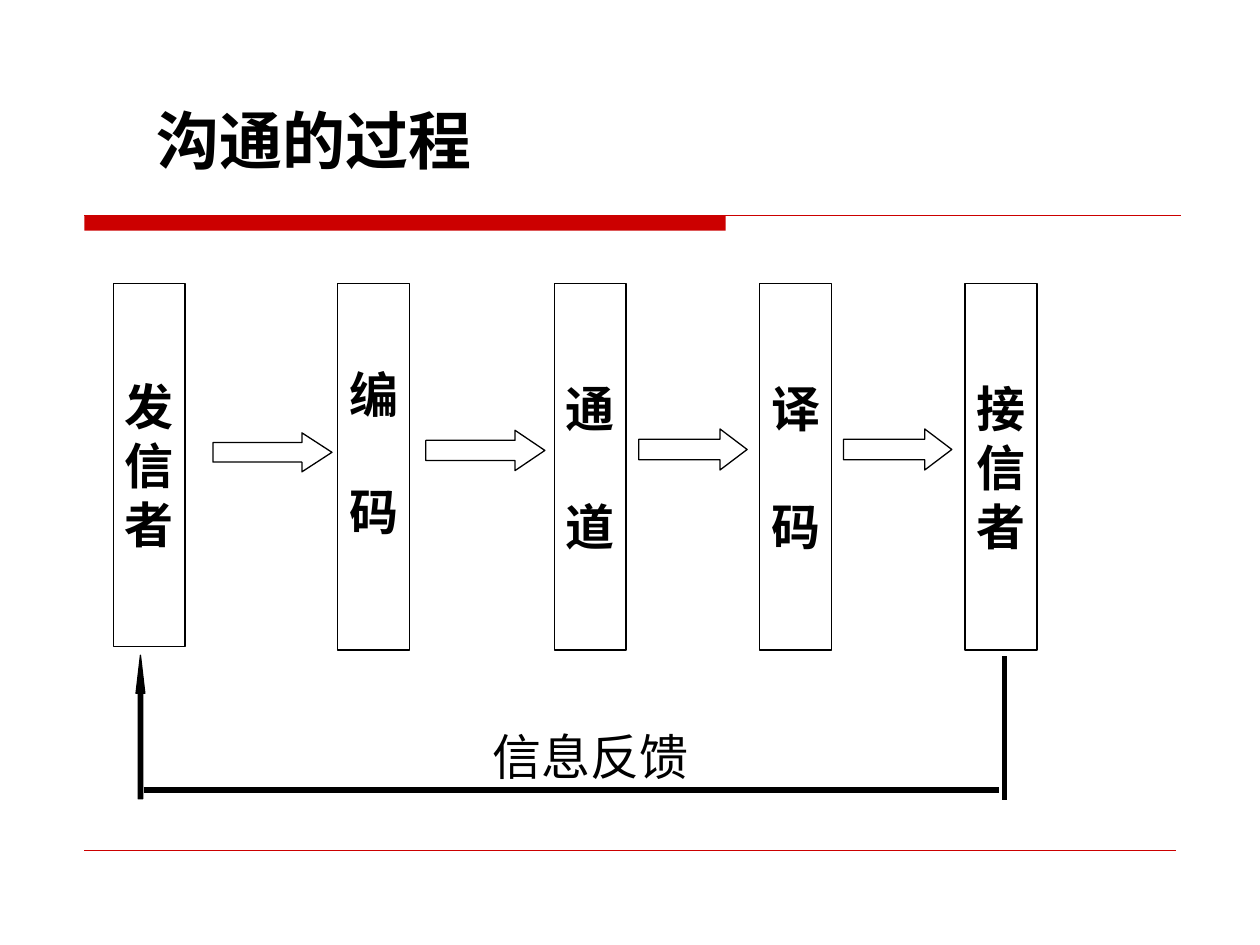
from dataclasses import dataclass

import pptx
import pptx.dml.color
import pptx.enum.shapes
import pptx.enum.text
import pptx.oxml
import pptx.oxml.ns
import pptx.util

SHAPE = pptx.enum.shapes.MSO_SHAPE
ALIGN = pptx.enum.text.PP_ALIGN
ANCHOR = pptx.enum.text.MSO_ANCHOR
COLORS = {"ink": "000000", "accent": "CC0000"}

# Grid: 100 columns by 75 rows over the whole slide
COLS, ROWS = 100, 75
prs = pptx.Presentation()
prs.slide_width = pptx.util.Inches(10)
prs.slide_height = pptx.util.Inches(7.5)
COL, ROW = prs.slide_width / COLS, prs.slide_height / ROWS


@dataclass
class Area:
    col: float
    row: float
    cols: float
    rows: float

    def emu(self) -> tuple:
        return (round(self.col * COL), round(self.row * ROW),
                round(self.cols * COL), round(self.rows * ROW))


@dataclass
class Stage:
    chars: str
    col: float
    rows: float = 29.1
    gap: float = 0  # points between characters
    lift: float = 0  # extra bottom inset, inches
    font: str = "Times New Roman"


@dataclass
class Arrow:
    area: Area
    head: float


def rgb(name: str):
    return pptx.dml.color.RGBColor.from_string(COLORS[name])


def write_text(sp, lines, *, size, font, bold=False, align=ALIGN.LEFT, gap=0,
               anchor=ANCHOR.TOP, insets=(0.07, 0.03, 0.07, 0.03)):
    """Fill a shape with one paragraph per line; insets are l, t, r, b inches."""
    tf = sp.text_frame
    tf.word_wrap = True
    tf.vertical_anchor = anchor
    (tf.margin_left, tf.margin_top,
     tf.margin_right, tf.margin_bottom) = map(pptx.util.Inches, insets)
    for i, line in enumerate(lines):
        p = tf.add_paragraph() if i else tf.paragraphs[0]
        p.alignment = align
        if i and gap:
            p.space_before = pptx.util.Pt(gap)
        r = p.add_run()
        r.text = line
        r.font.size, r.font.name, r.font.bold = pptx.util.Pt(size), font, bold
        r.font.color.rgb = rgb("ink")


def add_shape(s, kind, area: Area, fill=None, line="ink"):
    sp = s.shapes.add_shape(kind, *area.emu())
    sp.shadow.inherit = False
    if fill:
        sp.fill.solid()
        sp.fill.fore_color.rgb = rgb(fill)
    else:
        sp.fill.background()
    if line:
        sp.line.color.rgb = rgb(line)
        sp.line.width = pptx.util.Pt(0.75)
    else:
        sp.line.fill.background()
    return sp


def add_line(s, area: Area, color: str, width: float):
    x, y, w, h = area.emu()
    cx = s.shapes.add_connector(pptx.enum.shapes.MSO_CONNECTOR.STRAIGHT,
                                x, y, x + w, y + h)
    cx.line.color.rgb = rgb(color)
    cx.line.width = pptx.util.Pt(width)
    cx._element.spPr.append(pptx.oxml.parse_xml(
        f'<a:effectLst {pptx.oxml.ns.nsdecls("a")}/>'))


def add_arrow(s, kind, arrow: Arrow, fill=None):
    sp = add_shape(s, kind, arrow.area, fill)
    sp.adjustments[0], sp.adjustments[1] = 0.5, arrow.head


STAGES = [
    Stage("发信者", 9, rows=28.8, font="DejaVu Sans"),
    Stage("编码", 26.8, gap=33.4, lift=0.23),
    Stage("通道", 44, gap=33.4),
    Stage("译码", 60.3, gap=33.4),
    Stage("接信者", 76.6),
]
FLOW = [
    Arrow(Area(16.9, 34.35, 9.45, 3.1), 0.77),
    Arrow(Area(33.8, 34.15, 9.45, 3.2), 0.74),
    Arrow(Area(50.7, 34.05, 8.6, 3.25), 0.66),
    Arrow(Area(66.95, 34.05, 8.6, 3.25), 0.66),
]

s = prs.slides.add_slide(prs.slide_layouts[6])

# Title rule and footer rule
add_shape(s, SHAPE.RECTANGLE, Area(6.7, 17.1, 50.9, 1.2), "accent", line=None)
add_line(s, Area(6.7, 17.1, 87, 0), "accent", 0.75)
add_line(s, Area(6.7, 67.5, 86.6, 0), "accent", 0.25)

# Title
sp = s.shapes.add_textbox(*Area(11.4, 7.6, 52, 7).emu())
write_text(sp, ["沟通的过程"], size=36, font="DejaVu Sans", bold=True,
           insets=(0.1, 0.05, 0.1, 0.05))

# Stages, one character per line
for st in STAGES:
    sp = add_shape(s, SHAPE.RECTANGLE, Area(st.col, 22.5, 5.7, st.rows))
    write_text(sp, st.chars, size=28, font=st.font, bold=True, gap=st.gap,
               align=ALIGN.CENTER, anchor=ANCHOR.MIDDLE,
               insets=(0.07, 0.03, 0.07, 0.03 + st.lift))

# Arrows between stages
for arrow in FLOW:
    add_arrow(s, SHAPE.RIGHT_ARROW, arrow)

# Feedback loop and its label
sp = s.shapes.add_textbox(*Area(38.4, 53.2, 19.5, 8.7).emu())
write_text(sp, ["信息反馈"], size=28, font="Lato", align=ALIGN.JUSTIFY,
           insets=(0.07, 0.46, 0.07, 0.03))
add_line(s, Area(11.4, 62.7, 67.9, 0), "ink", 3)
add_line(s, Area(79.7, 52.1, 0, 11.4), "ink", 3)
add_arrow(s, SHAPE.UP_ARROW, Arrow(Area(10.8, 52, 0.7, 11.4), 4.33), "ink")

prs.save("out.pptx")
